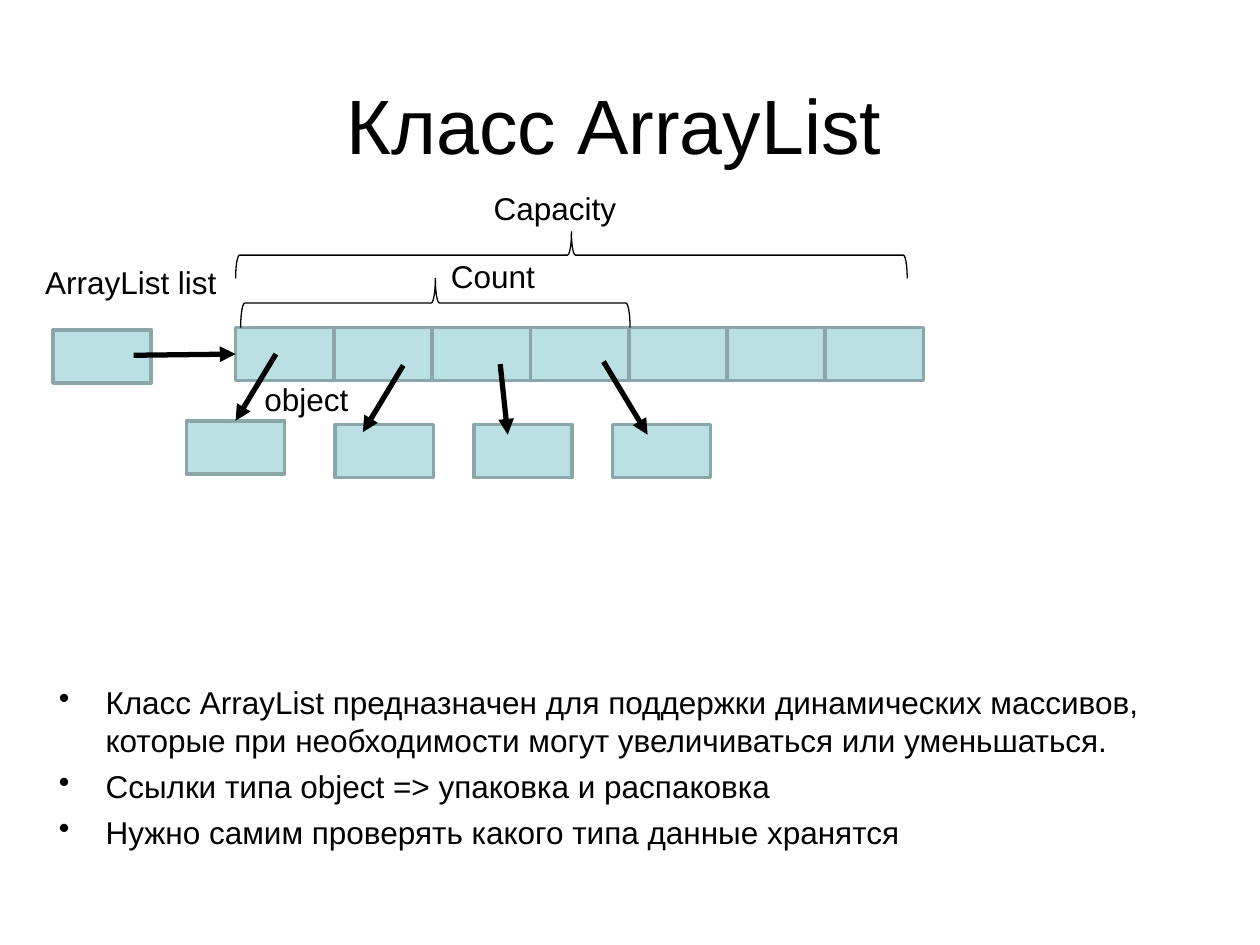
from lxml import etree
from pptx import Presentation
from pptx.dml.color import RGBColor
from pptx.enum.shapes import MSO_CONNECTOR, MSO_SHAPE
from pptx.enum.text import MSO_ANCHOR, PP_ALIGN
from pptx.oxml.ns import qn
from pptx.util import Inches, Pt

RECTANGLE, BRACE = MSO_SHAPE.RECTANGLE, MSO_SHAPE.LEFT_BRACE
STRAIGHT = MSO_CONNECTOR.STRAIGHT
LEFT, CENTER = PP_ALIGN.LEFT, PP_ALIGN.CENTER
TOP, MIDDLE = MSO_ANCHOR.TOP, MSO_ANCHOR.MIDDLE
TOP_SIDE, LEFT_SIDE = 0, 1
COLORS = {name: RGBColor.from_string(value) for name, value in {
    "ink": "000000", "cell": "BBE0E3", "border": "8AA6A8"}.items()}
BOX_WIDTH, BOX_HEIGHT = 0.78, 0.42

presentation = Presentation()
presentation.slide_width, presentation.slide_height = Inches(10), Inches(7.5)
slide = presentation.slides.add_slide(presentation.slide_layouts[6])


def add_text(text, left, top, width, height, size=18, align=LEFT,
             anchor=TOP, bullet=False):
    box = slide.shapes.add_textbox(*map(Inches, (left, top, width, height)))
    frame = box.text_frame
    frame.word_wrap = True
    frame.vertical_anchor = anchor
    frame.text = text
    for paragraph in frame.paragraphs:
        paragraph.alignment = align
        paragraph.font.size = Pt(size)
        paragraph.font.name = "Arial"
        paragraph.font.color.rgb = COLORS["ink"]
        if bullet:
            paragraph.space_before = Pt(4.8)
            properties = paragraph._p.get_or_add_pPr()
            properties.set("marL", str(Inches(0.38)))
            properties.set("indent", str(Inches(-0.37)))
            mark = etree.Element(qn("a:buChar"), char="•")
            properties.find(qn("a:defRPr")).addprevious(mark)


def add_box(left, top):
    shape = slide.shapes.add_shape(
        RECTANGLE, *map(Inches, (left, top, BOX_WIDTH, BOX_HEIGHT)))
    shape.shadow.inherit = False
    shape.fill.solid()
    shape.fill.fore_color.rgb = COLORS["cell"]
    shape.line.color.rgb = COLORS["border"]
    shape.line.width = Pt(2)
    return shape


# Title and notes on the class
add_text("Класс ArrayList ", 0.46, 0.36, 9, 1.25, size=44, align=CENTER,
         anchor=MIDDLE)
add_text("Класс ArrayList предназначен для поддержки динамических массивов, "
         "которые при необходимости могут увеличиваться или уменьшаться.\n"
         "Ссылки типа object => упаковка и распаковка\n"
         "Нужно самим проверять какого типа данные хранятся",
         0.36, 5.37, 9, 0.76, bullet=True)

# Array cells, stored objects and the list variable
array_cells = [add_box(1.87 + BOX_WIDTH * index, 2.6) for index in range(7)]
objects = [add_box(left, top) for left, top in
           [(1.48, 3.34), (2.66, 3.37), (3.76, 3.37), (4.86, 3.37)]]
add_box(0.42, 2.62)

# Reference arrows: start, end, and the box side they are joined to
arrows = [
    ((2.19, 2.81), (1.87, 3.34), (objects[0], TOP_SIDE)),
    ((3.2, 2.9), (2.88, 3.43), None),
    ((3.97, 2.89), (4.03, 3.45), None),
    ((4.79, 2.87), (5.14, 3.45), None),
    ((1.06, 2.82), (1.87, 2.81), (array_cells[0], LEFT_SIDE)),
]
for start, end, target in arrows:
    arrow = slide.shapes.add_connector(STRAIGHT, *map(Inches, start + end))
    if target:
        arrow.end_connect(*target)
    arrow.line.color.rgb = COLORS["ink"]
    arrow.line.width = Pt(3)
    etree.SubElement(arrow.line._get_or_add_ln(), qn("a:tailEnd"),
                     type="triangle")
    etree.SubElement(arrow._element.spPr, qn("a:effectLst"))

# Braces over the whole array and its used part
for left, top, width, height in [(4.35, -0.64, 0.37, 5.33),
                                 (3.26, 0.86, 0.39, 3.09)]:
    brace = slide.shapes.add_shape(
        BRACE, *map(Inches, (left, top, width, height)))
    brace.rotation = 90
    brace.shadow.inherit = False
    brace.fill.background()
    brace.line.color.rgb = COLORS["ink"]
    brace.line.width = Pt(0.75)

# Labels
for label, left, top, width in [("ArrayList list", 0.26, 2.04, 2.04),
                                ("Capacity", 3.82, 1.45, 2.35),
                                ("Count", 3.48, 1.99, 2.35),
                                ("object", 2, 2.97, 0.95)]:
    add_text(label, left, top, width, 0.4)

presentation.save("out.pptx")
